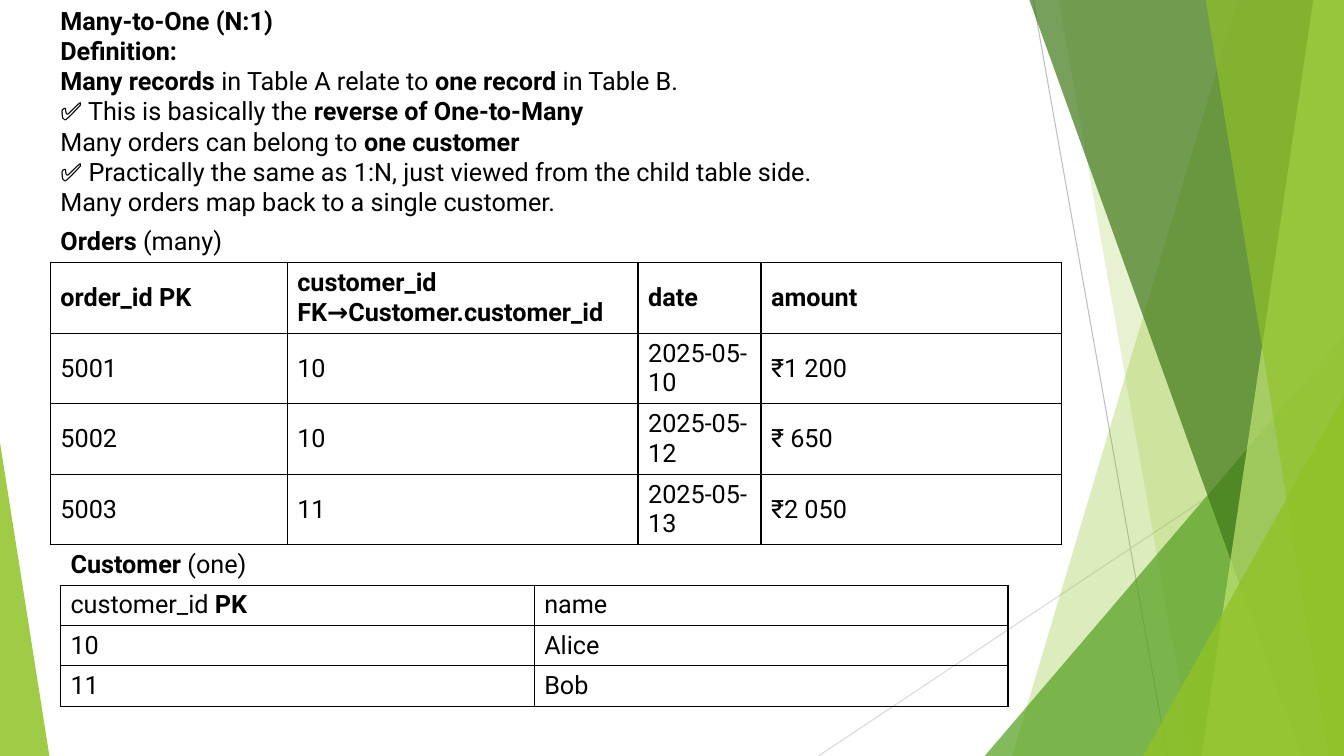
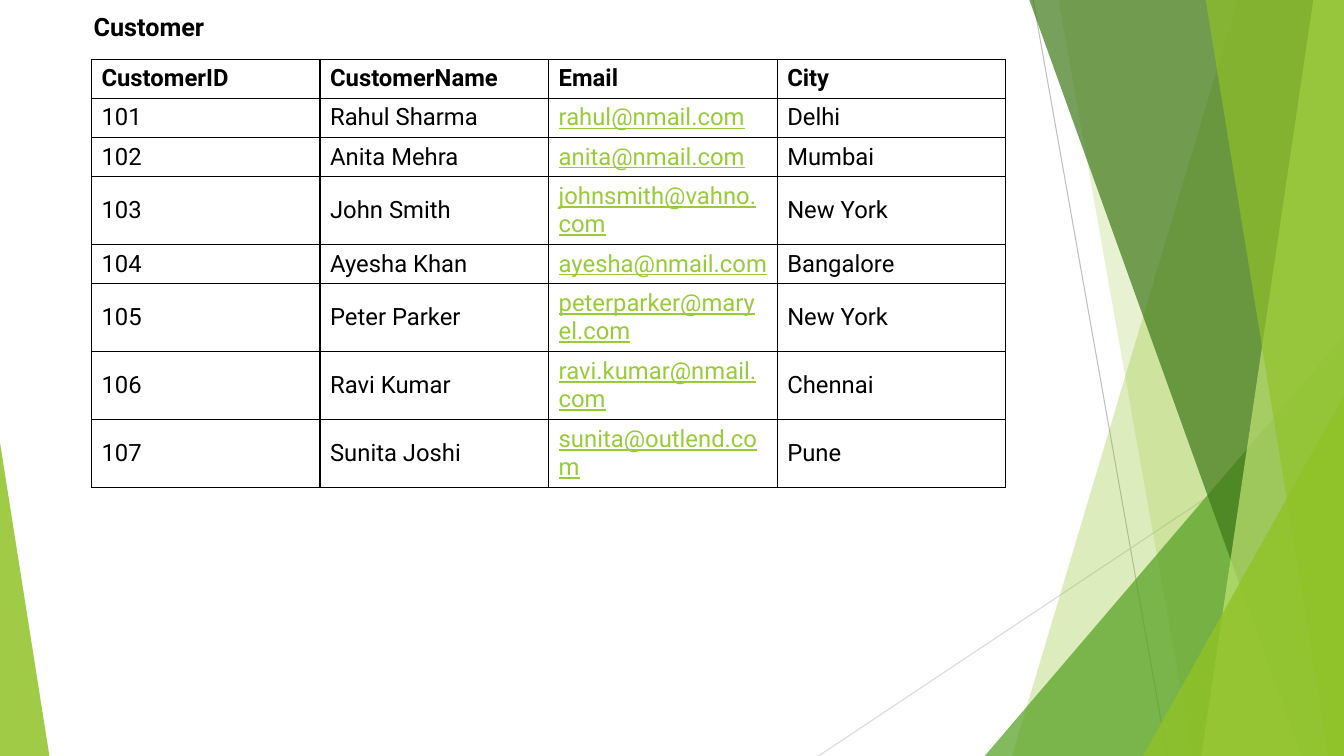
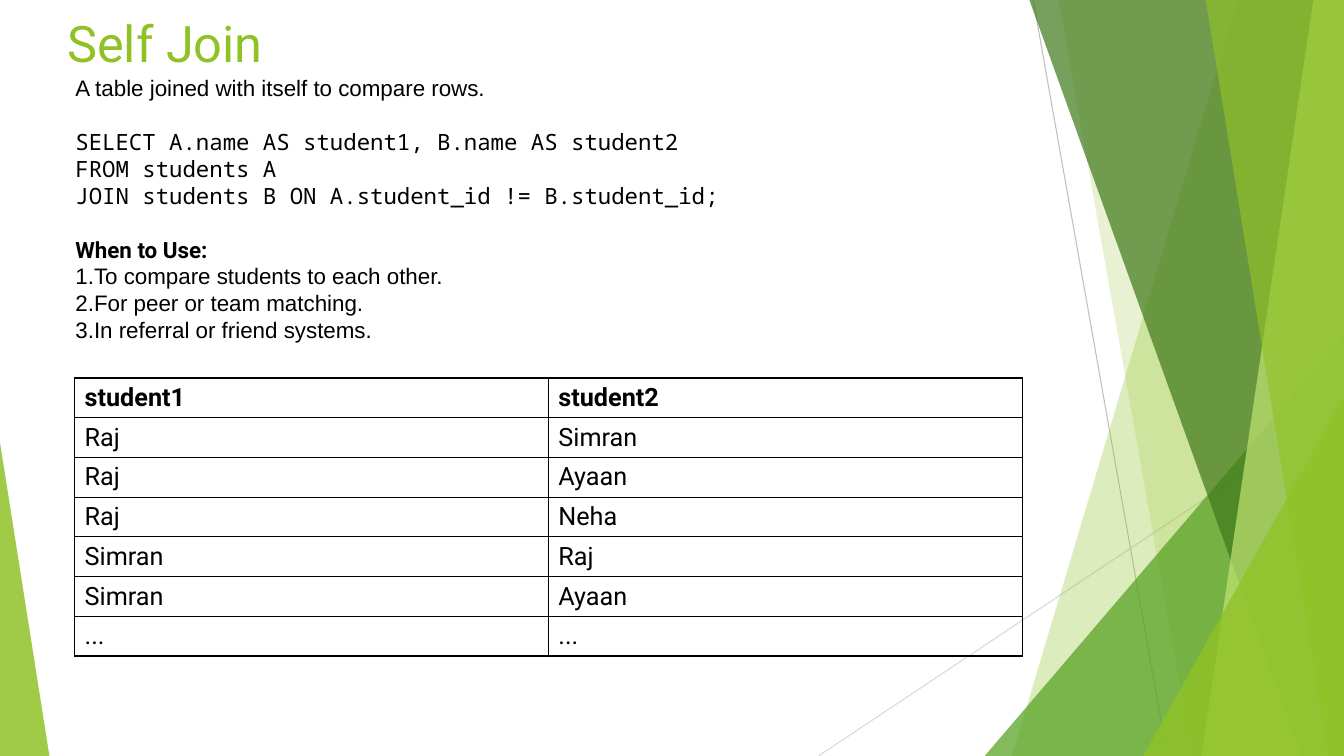
from dataclasses import dataclass, field
from typing import Any

from lxml.etree import SubElement
from pptx import Presentation
from pptx.dml.color import RGBColor
from pptx.enum.shapes import MSO_CONNECTOR as Connector, MSO_SHAPE as Preset
from pptx.enum.text import MSO_ANCHOR as Anchor, MSO_AUTO_SIZE as AutoSize
from pptx.oxml import parse_xml
from pptx.oxml.ns import nsdecls, qn
from pptx.util import Pt

# Colours and fonts
BLACK = RGBColor(0x00, 0x00, 0x00)
LIME = RGBColor(0x90, 0xC2, 0x26)
PALE_LIME = RGBColor(0xC0, 0xE4, 0x74)
GREEN = RGBColor(0x54, 0xA0, 0x21)
DARK_GREEN = RGBColor(0x3F, 0x78, 0x19)
LINK_GREEN = RGBColor(0x99, 0xCA, 0x3C)
GREY = RGBColor(0xBF, 0xBF, 0xBF)
LIGHT_GREY = RGBColor(0xD9, 0xD9, 0xD9)
ROBOTO, ARIAL, MONO = "Roboto", "Arial", "Noto Sans Mono"

# Lengths in points
WIDTH, HEIGHT = 960, 540
BAND_TOP = -0.6
LINE_PITCH = 1.2
ROW = 28.8


@dataclass
class Ray:
    start: tuple[float, float]
    end: tuple[float, float]
    color: RGBColor


@dataclass
class Band:
    """A strip that runs from a slanted left edge to the right side."""
    top_x: float
    bottom_x: float
    color: RGBColor
    opacity: int


@dataclass
class Wedge:
    """A triangle that stands on the bottom of the slide."""
    left: float
    top: float
    width: float
    peak: float
    color: RGBColor
    opacity: int


@dataclass
class Line:
    """A paragraph; pairs of ** enclose bold text."""
    text: str
    font: str = ROBOTO
    numbered: bool = False
    gap: float = 0


@dataclass
class Grid:
    left: float
    top: float
    columns: list[float]
    heights: list[float]
    rows: list[list[str]]
    size: float = 18
    captioned: bool = False
    link_column: int | None = None
    edges: tuple[str, ...] = field(default=("L", "R", "T", "B"))


DECORATION: list[Ray | Band | Wedge] = [
    Ray((738, 0), (833.8, HEIGHT), GREY),
    Ray((WIDTH, 290.2), (584.6, HEIGHT), LIGHT_GREY),
    Band(884.2, 722.9, LIME, 30),
    Band(756, 851.8, LIME, 20),
    Wedge(703.4, 239.8, 256.6, 1, GREEN, 72),
    Band(735.1, 929.5, DARK_GREEN, 70),
    Band(938.2, 858.2, PALE_LIME, 70),
    Band(861.1, 949, LIME, 65),
    Wedge(816.5, 283, 143.5, 1, LIME, 80),
    Wedge(0, 316.1, 35.3, 0, LIME, 85),
]


# Shared drawing
def paint(shape: Any, color: RGBColor, opacity: int) -> None:
    shape.shadow.inherit = False
    shape.line.fill.background()
    shape.fill.solid()
    shape.fill.fore_color.rgb = color
    tint = shape.fill._xPr.find(qn("a:solidFill"))[0]
    SubElement(tint, qn("a:alpha"), val=str(opacity * 1000))


def draw_ray(slide: Any, ray: Ray) -> None:
    ends = [Pt(value) for value in (*ray.start, *ray.end)]
    line = slide.shapes.add_connector(Connector.STRAIGHT, *ends)
    line.line.color.rgb = ray.color
    line.line.width = Pt(0.75)
    SubElement(line._element.spPr, qn("a:effectLst"))


def draw_band(slide: Any, band: Band) -> None:
    outline = slide.shapes.build_freeform(Pt(band.top_x), Pt(BAND_TOP))
    corners = [(WIDTH, BAND_TOP), (WIDTH, HEIGHT), (band.bottom_x, HEIGHT)]
    outline.add_line_segments([(Pt(x), Pt(y)) for x, y in corners], close=True)
    paint(outline.convert_to_shape(), band.color, band.opacity)


def draw_wedge(slide: Any, wedge: Wedge) -> None:
    triangle = slide.shapes.add_shape(
        Preset.ISOSCELES_TRIANGLE, Pt(wedge.left), Pt(wedge.top),
        Pt(wedge.width), Pt(HEIGHT - wedge.top))
    triangle.adjustments[0] = wedge.peak
    paint(triangle, wedge.color, wedge.opacity)


def new_slide(deck: Any) -> Any:
    slide = deck.slides.add_slide(deck.slide_layouts[6])
    painters = {Ray: draw_ray, Band: draw_band, Wedge: draw_wedge}
    for part in DECORATION:
        painters[type(part)](slide, part)
    return slide


# Text
def write(paragraph: Any, text: str, size: float, font: str = ROBOTO,
          color: RGBColor = BLACK, underline: bool = False) -> None:
    for index, part in enumerate(text.split("**")):
        if not part:
            continue
        run = paragraph.add_run()
        run.text = part
        look = {"name": font, "size": Pt(size), "bold": index % 2 == 1,
                "underline": underline}
        for key, value in look.items():
            setattr(run.font, key, value)
        run.font.color.rgb = color


def add_text(slide: Any, box: tuple[float, float, float, float],
             lines: list[Line], size: float, color: RGBColor = BLACK) -> None:
    frame = slide.shapes.add_textbox(*[Pt(value) for value in box]).text_frame
    layout = {"word_wrap": True, "auto_size": AutoSize.NONE,
              "vertical_anchor": Anchor.TOP}
    for key, value in layout.items():
        setattr(frame, key, value)
    for index, line in enumerate(lines):
        paragraph = frame.add_paragraph() if index else frame.paragraphs[0]
        paragraph.line_spacing = Pt(size * LINE_PITCH)
        if line.gap:
            paragraph.space_before = Pt(line.gap)
        if line.numbered:
            properties = paragraph._p.get_or_add_pPr()
            properties.set("marL", "0")
            properties.set("indent", "0")
            SubElement(properties, qn("a:buFont"), typeface=line.font)
            SubElement(properties, qn("a:buAutoNum"), type="arabicPeriod")
        write(paragraph, line.text, size, line.font, color)


# Tables
def set_borders(cell: Any, drawn: tuple[str, ...]) -> None:
    properties = cell._tc.get_or_add_tcPr()
    for index, edge in enumerate(("L", "R", "T", "B")):
        fill = ('<a:solidFill><a:srgbClr val="000000"/></a:solidFill>'
                if edge in drawn else "<a:noFill/>")
        border = parse_xml(
            f'<a:ln{edge} {nsdecls("a")} w="{Pt(1)}">{fill}</a:ln{edge}>')
        properties.insert(index, border)


def add_grid(slide: Any, grid: Grid) -> None:
    table = slide.shapes.add_table(
        len(grid.rows), len(grid.columns), Pt(grid.left), Pt(grid.top),
        Pt(sum(grid.columns)), Pt(sum(grid.heights))).table
    table.first_row = table.horz_banding = False
    for column, width in zip(table.columns, grid.columns):
        column.width = Pt(width)
    for r, (row, height) in enumerate(zip(grid.rows, grid.heights)):
        table.rows[r].height = Pt(height)
        for c in range(len(grid.columns)):
            cell = table.cell(r, c)
            cell.vertical_anchor = Anchor.MIDDLE
            cell.fill.background()
            caption = grid.captioned and r == 0
            set_borders(cell, ("B",) if caption else grid.edges)
            cell.margin_left = cell.margin_right = Pt(7.2)
            cell.margin_top = cell.margin_bottom = Pt(3.6)
            paragraph = cell.text_frame.paragraphs[0]
            if c >= len(row):
                paragraph.font.size = Pt(grid.size)
                continue
            link = r > 0 and c == grid.link_column
            write(paragraph, row[c], grid.size,
                  color=LINK_GREEN if link else BLACK, underline=link)


# Slides
def many_to_one(deck: Any) -> None:
    slide = new_slide(deck)
    definition = [
        "**Many-to-One (N:1)**",
        "**Definition:**",
        "**Many records** in Table A relate to **one record** in Table B.",
        "✅ This is basically the **reverse of One-to-Many**",
        "Many orders can belong to **one customer**",
        "✅ Practically the same as 1:N, just viewed from the child table side.",
        "Many orders map back to a single customer.",
    ]
    add_text(slide, (36, 0, 676.8, 181.4), [Line(t) for t in definition], 18)
    add_grid(slide, Grid(
        36, 158.4, [169.2, 250.6, 87.8, 214.6], [ROW] + [50.4] * 4, [
            ["**Orders** (many)"],
            ["**order_id PK**", "**customer_id FK→Customer.customer_id**",
             "**date**", "**amount**"],
            ["5001", "10", "2025-05-10", "₹1 200"],
            ["5002", "10", "2025-05-12", "₹ 650"],
            ["5003", "11", "2025-05-13", "₹2 050"],
        ], captioned=True))
    add_grid(slide, Grid(
        43.2, 388.8, [338.4] * 2, [ROW] * 4, [
            ["**Customer** (one)"],
            ["customer_id **PK**", "name"],
            ["10", "Alice"],
            ["11", "Bob"],
        ], captioned=True))


def customer(deck: Any) -> None:
    slide = new_slide(deck)
    single, double = 27.9, 48.6
    add_grid(slide, Grid(
        65.3, 42.3, [163.3] * 4,
        [single] * 3 + [double, single] + [double] * 3, [
            ["**CustomerID**", "**CustomerName**", "**Email**", "**City**"],
            ["101", "Rahul Sharma", "rahul@nmail.com", "Delhi"],
            ["102", "Anita Mehra", "anita@nmail.com", "Mumbai"],
            ["103", "John Smith", "johnsmith@vahno.com", "New York"],
            ["104", "Ayesha Khan", "ayesha@nmail.com", "Bangalore"],
            ["105", "Peter Parker", "peterparker@maryel.com", "New York"],
            ["106", "Ravi Kumar", "ravi.kumar@nmail.com", "Chennai"],
            ["107", "Sunita Joshi", "sunita@outlend.com", "Pune"],
        ], size=17, link_column=2))
    add_text(slide, (59.8, 4.3, 283.7, 28.8), [Line("**Customer**")], 18)


def self_join(deck: Any) -> None:
    slide = new_slide(deck)
    add_text(slide, (41, 5, 676.8, 63.4), [Line("Self Join")], 36, LIME)
    add_grid(slide, Grid(
        53.3, 270, [338.4] * 2, [28.4] * 7, [
            ["**student1**", "**student2**"],
            ["Raj", "Simran"],
            ["Raj", "Ayaan"],
            ["Raj", "Neha"],
            ["Simran", "Raj"],
            ["Simran", "Ayaan"],
            ["...", "..."],
        ]))
    size = 16
    gap = size * LINE_PITCH
    add_text(slide, (46.8, 49.7, 744.5, 218.4), [
        Line("A table joined with itself to compare rows.", ARIAL),
        Line("SELECT A.name AS student1, B.name AS student2", MONO, gap=gap),
        Line("FROM students A", MONO),
        Line("JOIN students B ON A.student_id != B.student_id;", MONO),
        Line("**When to Use:**", gap=gap),
        Line("To compare students to each other.", ARIAL, numbered=True),
        Line("For peer or team matching.", ARIAL, numbered=True),
        Line("In referral or friend systems.", ARIAL, numbered=True),
    ], size)


def main() -> None:
    deck = Presentation()
    deck.slide_width, deck.slide_height = Pt(WIDTH), Pt(HEIGHT)
    for build in (many_to_one, customer, self_join):
        build(deck)
    deck.save("out.pptx")


if __name__ == "__main__":
    main()
